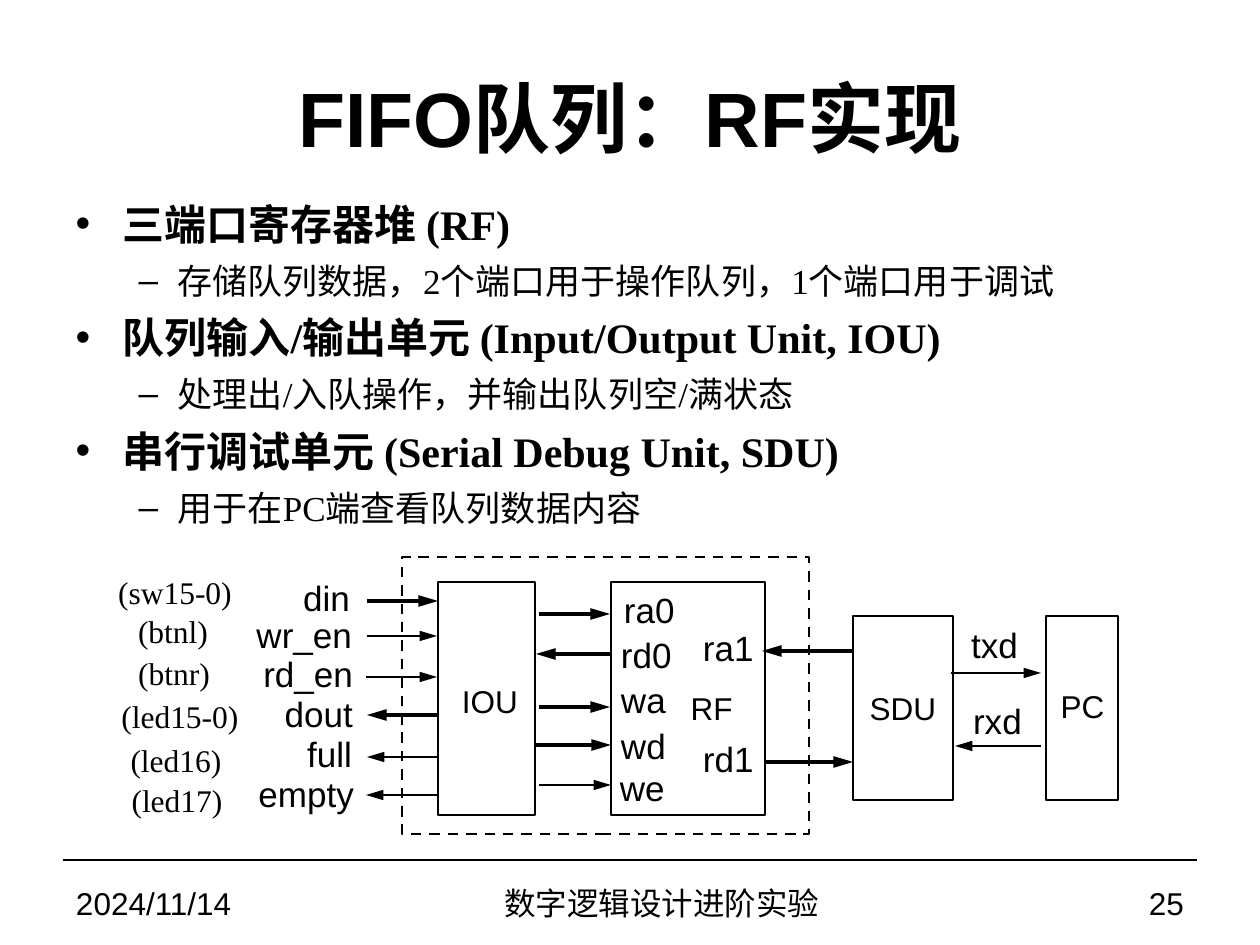
from lxml import etree
from pptx import Presentation
from pptx import util as u
from pptx.dml.color import RGBColor
from pptx.enum import dml, shapes, text
from pptx.oxml.ns import qn

PX_PER_INCH = 126
COLORS = {"ink": "000000", "paper": "FFFFFF"}
SANS, SERIF = "Arial", "Times New Roman"
LEFT, CENTER, RIGHT = text.PP_ALIGN.LEFT, text.PP_ALIGN.CENTER, text.PP_ALIGN.RIGHT

OUTLINE = [
    ("三端口寄存器堆 (RF)", "存储队列数据，2个端口用于操作队列，1个端口用于调试"),
    ("队列输入/输出单元 (Input/Output Unit, IOU)", "处理出/入队操作，并输出队列空/满状态"),
    ("串行调试单元 (Serial Debug Unit, SDU)", "用于在PC端查看队列数据内容"),
]

# Blocks: name, box, name box (left, middle, width)
BLOCKS = [
    ("IOU", (438, 582, 97, 233), (449, 701, 82)),
    ("RF", (611, 582, 154, 233), (690, 708, 43)),
    ("SDU", (853, 616, 100, 184), (857, 708, 92)),
    ("PC", (1046, 616, 72, 184), (1048, 706, 69)),
]

# Board signals: name, left, right, middle, pin, pin centre, pin middle
SIGNALS = [
    ("din", 302, 350, 598, "(sw15-0)", 175, 592),
    ("wr_en", 256, 352, 634, "(btnl)", 173, 631),
    ("rd_en", 262, 353, 674, "(btnr)", 174, 673),
    ("dout", 283, 353, 713, "(led15-0)", 180, 716),
    ("full", 305, 352, 753, "(led16)", 176, 760),
    ("empty", 258, 354, 794, "(led17)", 177, 800),
]

# Ports of the register file: name, left, middle
PORTS = [
    ("ra0", 624, 609), ("rd0", 621, 655), ("wa", 621, 700), ("wd", 621, 745),
    ("we", 620, 788), ("ra1", 703, 648), ("rd1", 703, 758),
]

# Wires: source x, target x, y, weight
WIRES = [
    (367, 438, 601, 2.25), (367, 437, 636, 1.25), (366, 437, 677, 1.25),
    (438, 367, 715, 2.25), (438, 367, 757, 1.5), (437, 366, 795, 1.5),
    (539, 610, 614, 2.25), (611, 536, 654, 2.25), (539, 610, 707, 2.25),
    (536, 611, 745, 2.25), (539, 611, 785, 1.25),
    (853, 762, 651, 2.25), (764, 853, 762, 2.25),
    (951, 1041, 673, 1.5), (1041, 955, 746, 1.5),
]


def px(n):
    return u.Emu(round(n * 914400 / PX_PER_INCH))


def color(name):
    return RGBColor.from_string(COLORS[name])


def style(paragraph, size, face, bold=False, align=LEFT):
    paragraph.alignment = align
    font = paragraph.font
    font.size, font.name, font.bold = u.Pt(size), face, bold
    font.color.rgb = color("ink")


def place(shape, left, top, width, height):
    shape.left, shape.top = px(left), px(top)
    shape.width, shape.height = px(width), px(height)


def title(slide, wording):
    heading = slide.shapes.title
    place(heading, 63, 38, 1134, 157)
    frame = heading.text_frame
    frame.text = wording
    frame.vertical_anchor = text.MSO_ANCHOR.MIDDLE
    frame.auto_size = text.MSO_AUTO_SIZE.NONE
    style(frame.paragraphs[0], 44, SANS, True, CENTER)


def bullet(paragraph, mark, margin, hang):
    props = paragraph._p.get_or_add_pPr()
    props.set("marL", str(px(margin)))
    props.set("indent", str(-px(hang)))
    etree.SubElement(props, qn("a:buFont"), typeface=SANS)
    etree.SubElement(props, qn("a:buChar"), char=mark)


def outline(slide):
    body = slide.placeholders[1]
    place(body, 63, 192, 1134, 345)
    frame = body.text_frame
    frame.auto_size = text.MSO_AUTO_SIZE.NONE
    levels = [("•", 47, 47, 24, True), ("–", 102, 39, 20, False)]
    first = True
    for topic in OUTLINE:
        for level, wording in enumerate(topic):
            mark, margin, hang, size, bold = levels[level]
            paragraph = frame.paragraphs[0] if first else frame.add_paragraph()
            paragraph.text = wording
            paragraph.level = level
            paragraph.space_before = u.Pt(0 if first else 6)
            bullet(paragraph, mark, margin, hang)
            style(paragraph, size, SERIF, bold)
            first = False


def label(slide, wording, left, middle, width, size=20, face=SANS, align=LEFT):
    height = 46
    box = slide.shapes.add_textbox(px(left), px(middle - height / 2), px(width), px(height))
    frame = box.text_frame
    frame.word_wrap = False
    frame.vertical_anchor = text.MSO_ANCHOR.MIDDLE
    frame.margin_left = frame.margin_right = frame.margin_top = frame.margin_bottom = 0
    frame.text = wording
    style(frame.paragraphs[0], size, face, align=align)


def block(slide, box, dashed=False):
    rect = slide.shapes.add_shape(shapes.MSO_SHAPE.RECTANGLE, *map(px, box))
    rect.shadow.inherit = False
    rect.fill.background()
    rect.line.color.rgb = color("ink")
    rect.line.width = u.Pt(1.5)
    if dashed:
        rect.line.dash_style = dml.MSO_LINE.DASH


def wire(slide, start, end, y, weight, arrow=True):
    line = slide.shapes.add_connector(
        shapes.MSO_CONNECTOR.STRAIGHT, px(start), px(y), px(end), px(y))
    line.line.color.rgb = color("ink")
    line.line.width = u.Pt(weight)
    props = line._element.spPr
    if arrow:
        etree.SubElement(props.find(qn("a:ln")), qn("a:tailEnd"),
                         type="triangle", w="med", len="lg")
    etree.SubElement(props, qn("a:effectLst"))


def diagram(slide):
    for name, box, (left, middle, width) in BLOCKS:
        block(slide, box)
        label(slide, name, left, middle, width, 18, align=CENTER)
    for name, left, right, middle, pin, pin_center, pin_middle in SIGNALS:
        label(slide, name, left, middle, right - left, align=RIGHT)
        label(slide, pin, pin_center - 60, pin_middle, 120, 18, SERIF, CENTER)
    for name, left, middle in PORTS:
        label(slide, name, left, middle, 53)
    # Serial link between SDU and PC
    label(slide, "txd", 971, 644, 47, align=CENTER)
    label(slide, "rxd", 971, 720, 53, align=CENTER)
    for route in WIRES:
        wire(slide, *route)
    # Boundary of the FIFO queue
    block(slide, (402, 557, 407, 277), dashed=True)


def footer(slide):
    wire(slide, 63, 1197, 860, 0.75, arrow=False)
    label(slide, "2024/11/14", 76, 903, 268, 18)
    label(slide, "数字逻辑设计进阶实验", 357, 903, 609, 18, align=CENTER)
    label(slide, "25", 989, 903, 195, 18, align=RIGHT)


def main():
    deck = Presentation()
    deck.slide_width, deck.slide_height = px(1260), px(945)
    slide = deck.slides.add_slide(deck.slide_layouts[1])
    slide.background.fill.solid()
    slide.background.fill.fore_color.rgb = color("paper")
    title(slide, "FIFO队列：RF实现")
    outline(slide)
    diagram(slide)
    footer(slide)
    deck.save("out.pptx")


if __name__ == "__main__":
    main()
